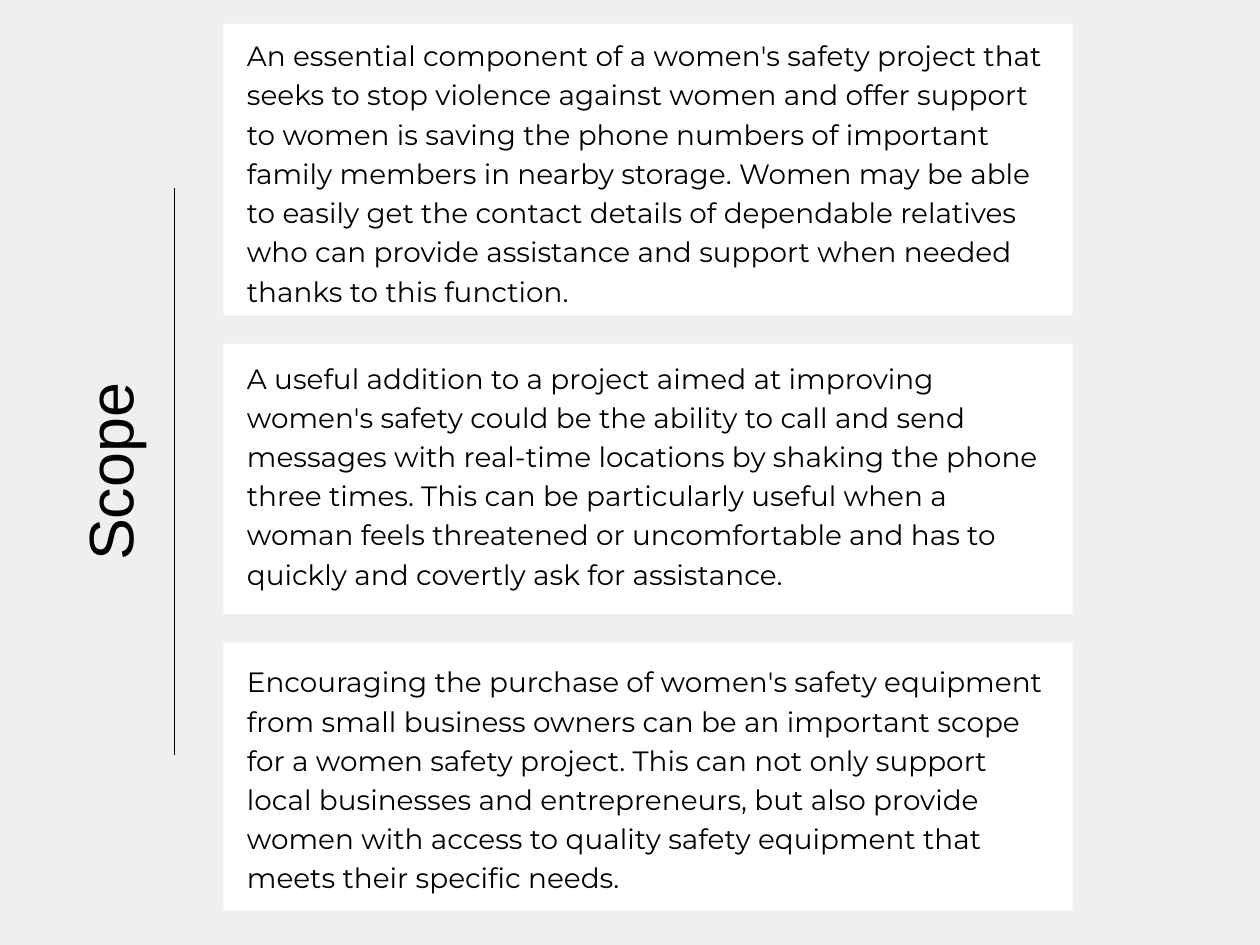
import pptx
import pptx.util
from lxml import etree
from pptx.dml.color import RGBColor
from pptx.enum.shapes import MSO_CONNECTOR, MSO_SHAPE
from pptx.enum.text import MSO_ANCHOR, MSO_AUTO_SIZE, PP_ALIGN
from pptx.oxml.ns import qn

Pt = pptx.util.Pt

TITLE = "Scope"
# panel top, panel height, text top, text height, text
PANELS = [
    (14.4, 177.8, 20.2, 164.2,
     "An essential component of a women's safety project that seeks to stop "
     "violence against women and offer support to women is saving the phone "
     "numbers of important family members in nearby storage. Women may be able "
     "to easily get the contact details of dependable relatives who can provide "
     "assistance and support when needed thanks to this function."),
    (209.5, 164.9, 216.7, 140.4,
     "A useful addition to a project aimed at improving women's safety could be "
     "the ability to call and send messages with real-time locations by shaking "
     "the phone three times. This can be particularly useful when a woman feels "
     "threatened or uncomfortable and has to quickly and covertly ask for "
     "assistance."),
    (391.7, 163.4, 401.8, 140.4,
     "Encouraging the purchase of women's safety equipment from small business "
     "owners can be an important scope for a women safety project. This can not "
     "only support local businesses and entrepreneurs, but also provide women "
     "with access to quality safety equipment that meets their specific needs."),
]
PANEL_LEFT, PANEL_WIDTH = 136.1, 517.7
TEXT_LEFT, TEXT_WIDTH = 150.5, 488.9
RULE_X, RULE_TOP, RULE_BOTTOM = 106.6, 114.5, 460.1


def color(value):
    return RGBColor.from_string(value)


def write(box, text, font, size, leading, align):
    frame = box.text_frame
    frame.text = text
    frame.word_wrap = True
    frame.auto_size = MSO_AUTO_SIZE.NONE
    frame.vertical_anchor = MSO_ANCHOR.TOP
    frame.margin_left = frame.margin_right = Pt(0)
    frame.margin_top = frame.margin_bottom = Pt(0)
    para = frame.paragraphs[0]
    para.alignment = align
    para.line_spacing = Pt(leading)
    para.font.name = font
    para.font.size = Pt(size)
    para.font.color.rgb = color("000000")


def add_panel(page, top, height, text_top, text_height, text):
    panel = page.shapes.add_shape(MSO_SHAPE.RECTANGLE, Pt(PANEL_LEFT), Pt(top),
                                  Pt(PANEL_WIDTH), Pt(height))
    panel.shadow.inherit = False
    panel.fill.solid()
    panel.fill.fore_color.rgb = color("FFFFFF")
    panel.line.fill.background()
    box = page.shapes.add_textbox(Pt(TEXT_LEFT), Pt(text_top),
                                  Pt(TEXT_WIDTH), Pt(text_height))
    write(box, text, "Montserrat", 17, 23.9, PP_ALIGN.LEFT)


def main():
    deck = pptx.Presentation()
    deck.slide_width, deck.slide_height = Pt(768), Pt(576)
    page = deck.slides.add_slide(deck.slide_layouts.get_by_name("Title Only"))
    page.background.fill.solid()
    page.background.fill.fore_color.rgb = color("EFEFEF")

    title = page.shapes.title
    title.left, title.top = Pt(-66.2), Pt(260.6)
    title.width, title.height = Pt(257), Pt(54)
    title.rotation = 270
    write(title, TITLE, "Arial", 38.3, 53.6, PP_ALIGN.CENTER)

    rule = page.shapes.add_connector(MSO_CONNECTOR.STRAIGHT, Pt(RULE_X),
                                     Pt(RULE_BOTTOM), Pt(RULE_X), Pt(RULE_TOP))
    rule.line.color.rgb = color("000000")
    rule.line.width = Pt(0.75)
    etree.SubElement(rule._element.spPr, qn("a:effectLst"))

    for panel in PANELS:
        add_panel(page, *panel)

    deck.save("out.pptx")


if __name__ == "__main__":
    main()
